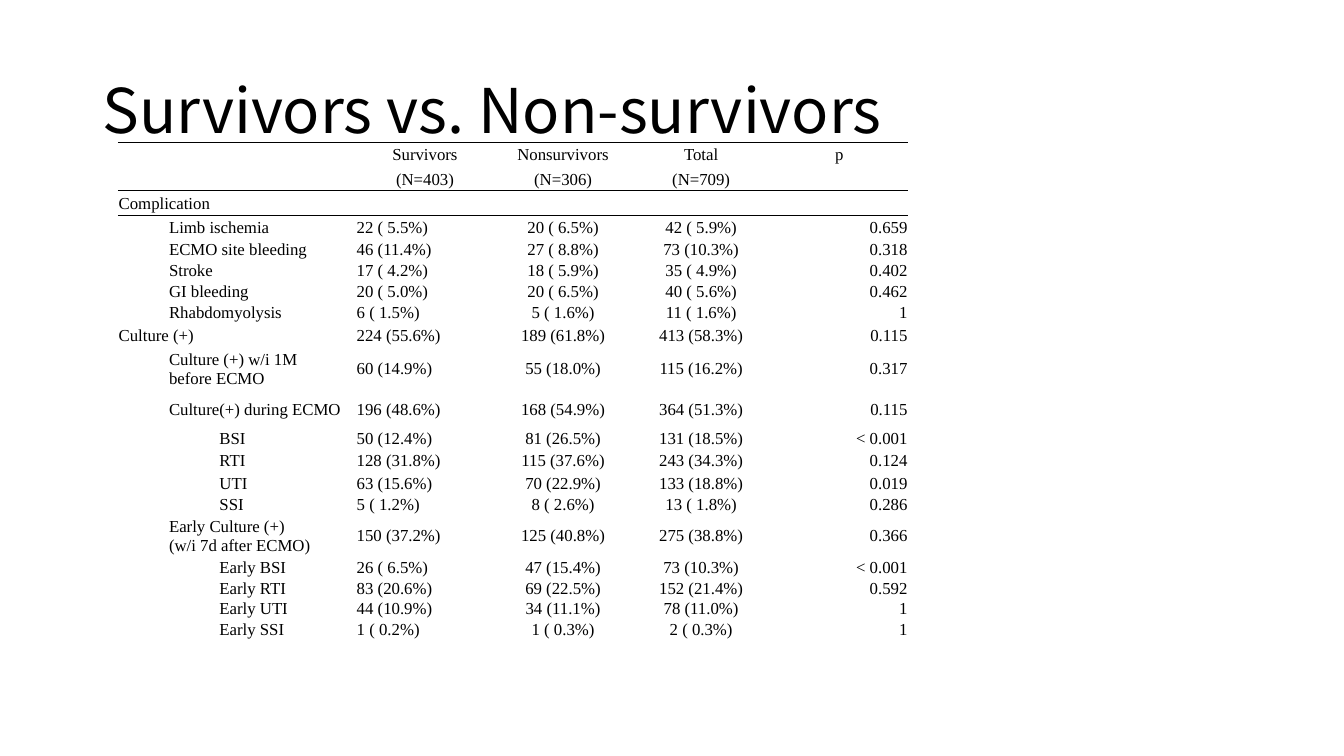
from lxml import etree
from pptx import Presentation
from pptx import util as u
from pptx.dml.color import RGBColor
from pptx.enum import text
from pptx.oxml import ns

COLORS = {"ink": "000000"}
ALIGN = text.PP_ALIGN
PLAIN_TABLE = "{2D5ABB26-0587-4C30-8999-92F81FD0307C}"

# Table content: indent level, label, survivors, nonsurvivors, total, p
HEADER = [
    (0, "", "Survivors", "Nonsurvivors", "Total", "p"),
    (0, "", "(N=403)", "(N=306)", "(N=709)", ""),
]
OUTCOMES = [
    (0, "Complication", "", "", "", ""),
    (1, "Limb ischemia", "22 ( 5.5%)", "20 ( 6.5%)", "42 ( 5.9%)", "0.659"),
    (1, "ECMO site bleeding", "46 (11.4%)", "27 ( 8.8%)", "73 (10.3%)", "0.318"),
    (1, "Stroke", "17 ( 4.2%)", "18 ( 5.9%)", "35 ( 4.9%)", "0.402"),
    (1, "GI bleeding", "20 ( 5.0%)", "20 ( 6.5%)", "40 ( 5.6%)", "0.462"),
    (1, "Rhabdomyolysis", "6 ( 1.5%)", "5 ( 1.6%)", "11 ( 1.6%)", "1"),
    (0, "Culture (+)", "224 (55.6%)", "189 (61.8%)", "413 (58.3%)", "0.115"),
    (1, "Culture (+) w/i 1M \vbefore ECMO", "60 (14.9%)", "55 (18.0%)", "115 (16.2%)", "0.317"),
    (1, "Culture(+) during ECMO", "196 (48.6%)", "168 (54.9%)", "364 (51.3%)", "0.115"),
    (2, "BSI", "50 (12.4%)", "81 (26.5%)", "131 (18.5%)", "< 0.001"),
    (2, "RTI", "128 (31.8%)", "115 (37.6%)", "243 (34.3%)", "0.124"),
    (2, "UTI", "63 (15.6%)", "70 (22.9%)", "133 (18.8%)", "0.019"),
    (2, "SSI", "5 ( 1.2%)", "8 ( 2.6%)", "13 ( 1.8%)", "0.286"),
    (1, "Early Culture (+) \v(w/i 7d after ECMO)", "150 (37.2%)", "125 (40.8%)", "275 (38.8%)", "0.366"),
    (2, "Early BSI", "26 ( 6.5%)", "47 (15.4%)", "73 (10.3%)", "< 0.001"),
    (2, "Early RTI", "83 (20.6%)", "69 (22.5%)", "152 (21.4%)", "0.592"),
    (2, "Early UTI", "44 (10.9%)", "34 (11.1%)", "78 (11.0%)", "1"),
    (2, "Early SSI", "1 ( 0.2%)", "1 ( 0.3%)", "2 ( 0.3%)", "1"),
]
COLUMN_WIDTHS = [6.0] + [3.48] * 4
ROW_HEIGHTS = [0.63, 0.6, 0.63, 0.57, 0.53, 0.52, 0.52, 0.53, 0.63, 1.07,
               0.96, 0.52, 0.59, 0.55, 0.51, 0.96, 0.51, 0.52, 0.52, 0.51]
COLUMN_ALIGN = [ALIGN.LEFT, ALIGN.LEFT, ALIGN.CENTER, ALIGN.CENTER, ALIGN.RIGHT]


class SlideBuilder:
    title_font, title_size = "Noto Sans CJK KR", 44
    table_font, table_size = "Times New Roman", 12
    indent = 1.27

    def __init__(self, deck):
        self.page = deck.slides.add_slide(deck.slide_layouts[6])

    def format_spans(self, para, font, size):
        for span in para.runs:
            span.font.name = font
            span.font.size = u.Pt(size)
            span.font.color.rgb = RGBColor.from_string(COLORS["ink"])

    def title(self, words, left, top, width, height):
        box = self.page.shapes.add_textbox(u.Cm(left), u.Cm(top), u.Cm(width), u.Cm(height))
        frame = box.text_frame
        frame.word_wrap = True
        frame.vertical_anchor = text.MSO_ANCHOR.MIDDLE
        frame.text = words
        para = frame.paragraphs[0]
        para.line_spacing = 0.9
        self.format_spans(para, self.title_font, self.title_size)

    def border(self, cell, side, points):
        line = etree.SubElement(cell._tc.get_or_add_tcPr(), ns.qn("a:ln" + side),
                                w=str(u.Pt(points)))
        fill = etree.SubElement(line, ns.qn("a:solidFill"))
        etree.SubElement(fill, ns.qn("a:srgbClr"), val=COLORS["ink"])

    def cell(self, cell, words, align, level=0):
        cell.margin_left = cell.margin_right = cell.margin_top = u.Cm(0.02)
        cell.margin_bottom = 0
        cell.vertical_anchor = text.MSO_ANCHOR.MIDDLE
        cell.fill.background()
        cell.text_frame.text = words
        para = cell.text_frame.paragraphs[0]
        para.alignment = align
        if level:
            para.level = level
            para._p.get_or_add_pPr().set("marL", str(u.Cm(self.indent * level)))
        if not words:
            # Keeps an empty cell from stretching its row
            etree.SubElement(para._p, ns.qn("a:endParaRPr"), sz=str(self.table_size * 100))
        self.format_spans(para, self.table_font, self.table_size)

    def table(self, header, body, left, top):
        rows = header + body
        frame = self.page.shapes.add_table(
            len(rows), len(COLUMN_WIDTHS), u.Cm(left), u.Cm(top),
            u.Cm(sum(COLUMN_WIDTHS)), u.Cm(sum(ROW_HEIGHTS)))
        table = frame.table
        table.first_row = table.horz_banding = False
        table._tbl.tblPr.find(ns.qn("a:tableStyleId")).text = PLAIN_TABLE
        for column, width in zip(table.columns, COLUMN_WIDTHS):
            column.width = u.Cm(width)
        for row, height in zip(table.rows, ROW_HEIGHTS):
            row.height = u.Cm(height)

        # Rules above and below the header
        last = len(header) - 1
        for index in range(len(COLUMN_WIDTHS)):
            self.border(table.cell(0, index), "T", 0.5)
            self.border(table.cell(last, index), "B", 1)
            self.border(table.cell(last + 1, index), "T", 1)

        # Cell text
        for row, (level, *values) in enumerate(rows):
            for index, words in enumerate(values):
                align = ALIGN.CENTER if row <= last else COLUMN_ALIGN[index]
                self.cell(table.cell(row, index), words, align, 0 if index else level)


def main():
    deck = Presentation()
    deck.slide_width, deck.slide_height = u.Cm(33.87), u.Cm(19.05)
    builder = SlideBuilder(deck)
    builder.title("Survivors vs. Non-survivors", 2.33, 1.01, 29.21, 3.68)
    builder.table(HEADER, OUTCOMES, 2.97, 3.58)
    deck.save("out.pptx")


if __name__ == "__main__":
    main()
